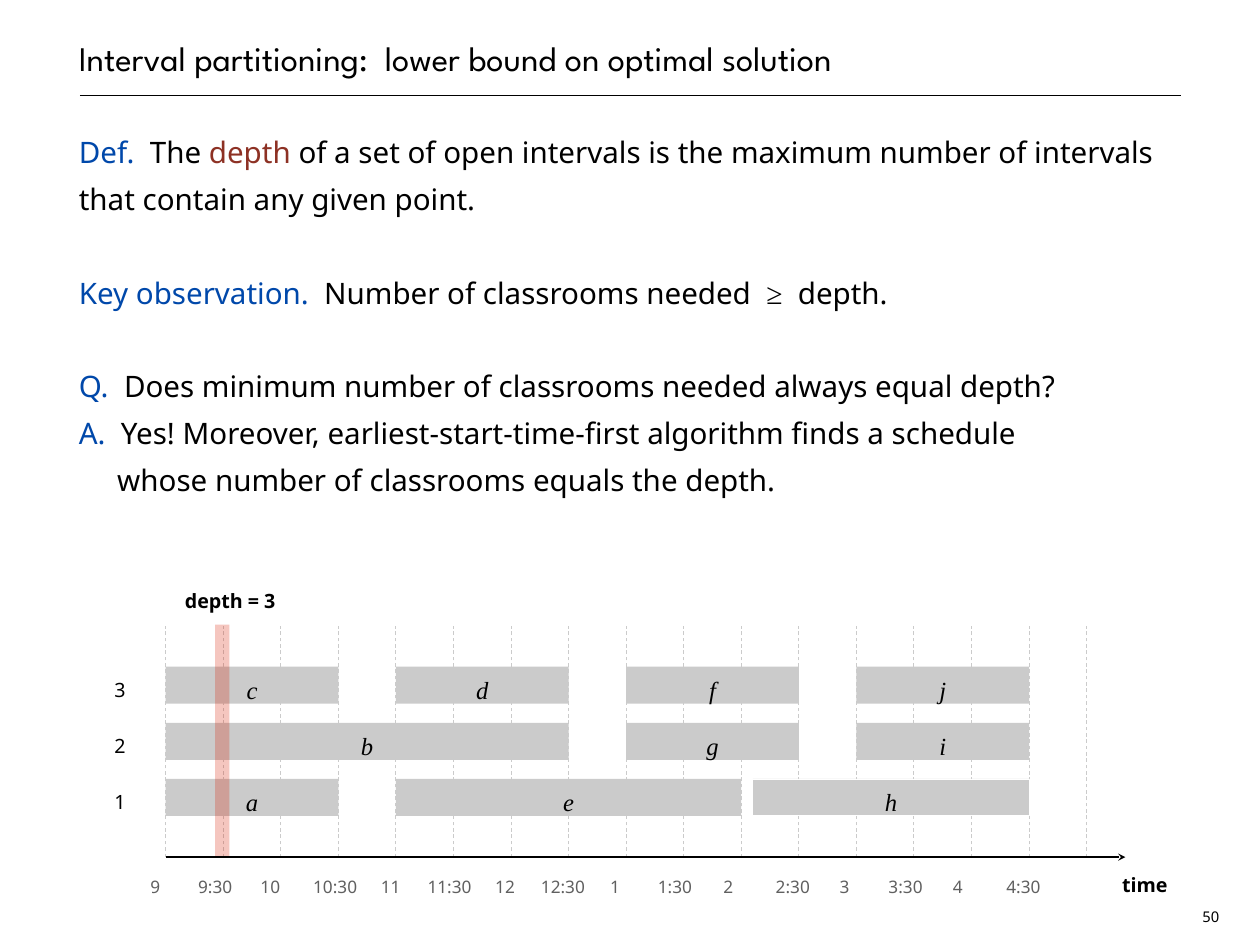
from lxml import etree
from pptx import Presentation
from pptx.dml.color import RGBColor
from pptx.enum import dml, shapes, text
from pptx.oxml import ns
from pptx.util import Cm, Pt

SANS, SERIF = "Noto Sans", "Times New Roman"
BLACK, BLUE, RED, GRAY, DARK_GRAY, WHITE = "000000", "0048AA", "8D3124", "CBCBCB", "606060", "FFFFFF"

HEADING = "Interval partitioning:  lower bound on optimal solution"
STATEMENTS = [
    (0, 0, [("Def.  ", BLUE, SANS), ("The ", BLACK, SANS), ("depth", RED, SANS),
            (" of a set of open intervals is the maximum number of intervals "
             "that contain any given point.", BLACK, SANS)]),
    (38, 0, [("Key observation.  ", BLUE, SANS), ("Number of classrooms needed  ", BLACK, SANS),
             ("≥", BLACK, SERIF), ("  depth.", BLACK, SANS)]),
    (38, 0, [("Q.  ", BLUE, SANS),
             ("Does minimum number of classrooms needed always equal depth?", BLACK, SANS)]),
    (0, 1.1, [("A.  ", BLUE, SANS),
              ("Yes! Moreover, earliest-start-time-first algorithm finds a schedule", BLACK, SANS),
              None,
              ("whose number of classrooms equals the depth.", BLACK, SANS)]),
]
CLASSROOMS = {
    "3": [("c", 0, 3), ("d", 4, 7), ("f", 8, 11), ("j", 12, 15)],
    "2": [("b", 0, 7), ("g", 8, 11), ("i", 12, 15)],
    "1": [("a", 0, 3), ("e", 4, 10), ("h", 10.2, 15)],
}
HOURS = [
    ("9", 4.45), ("9:30", 6.17), ("10", 7.75), ("10:30", 9.61),
    ("11", 11.2), ("11:30", 12.89), ("12", 14.48), ("12:30", 16.14),
    ("1", 17.63), ("1:30", 19.35), ("2", 20.88), ("2:30", 22.73),
    ("3", 24.21), ("3:30", 25.96), ("4", 27.46), ("4:30", 29.34),
]
LEFT, WIDTH = 2.26, 31.6
AXIS_X, AXIS_Y, AXIS_END = 4.75, 24.58, 32.26
GRID_TOP, HALF_HOUR, GRID_LINES = 17.95, 1.65, 17
ROW_TOP, ROW_STEP, BAR_HEIGHT = 19.12, 1.61, 1.06


def color(value):
    return RGBColor.from_string(value)


def add_run(paragraph, words, size, ink=BLACK, face=SANS, bold=False, italic=False):
    run = paragraph.add_run()
    run.text = words
    font = run.font
    font.name, font.size, font.bold, font.italic = face, Pt(size), bold, italic
    font.color.rgb = color(ink)


def clear_margins(frame, anchor, wrap=True):
    frame.margin_left = frame.margin_right = frame.margin_top = frame.margin_bottom = 0
    frame.vertical_anchor = anchor
    frame.word_wrap = wrap
    frame.auto_size = text.MSO_AUTO_SIZE.NONE


def place(shape, x, y, width, height):
    shape.left, shape.top, shape.width, shape.height = Cm(x), Cm(y), Cm(width), Cm(height)


def add_label(slide, words, center, top, size, ink=BLACK, bold=False, spacing=1.3):
    width = 2.6
    frame = slide.shapes.add_textbox(Cm(center - width / 2), Cm(top), Cm(width), Cm(0.6)).text_frame
    clear_margins(frame, text.MSO_ANCHOR.TOP, False)
    paragraph = frame.paragraphs[0]
    paragraph.alignment = text.PP_ALIGN.CENTER
    paragraph.line_spacing = spacing
    add_run(paragraph, words, size, ink, bold=bold)


def add_line(slide, x1, y1, x2, y2, ink, width):
    line = slide.shapes.add_connector(shapes.MSO_CONNECTOR.STRAIGHT, Cm(x1), Cm(y1), Cm(x2), Cm(y2))
    line.line.color.rgb = color(ink)
    line.line.width = Pt(width)
    etree.SubElement(line._element.spPr, ns.qn("a:effectLst"))
    return line


def add_block(slide, x, y, width, height, fill):
    block = slide.shapes.add_shape(shapes.MSO_SHAPE.RECTANGLE, Cm(x), Cm(y), Cm(width), Cm(height))
    block.shadow.inherit = False
    block.fill.solid()
    block.fill.fore_color.rgb = color(fill)
    block.line.fill.background()
    return block


def add_statements(slide):
    title, body = slide.shapes.title, slide.placeholders[1]
    place(title, LEFT, 0, WIDTH, 2.26)
    clear_margins(title.text_frame, text.MSO_ANCHOR.BOTTOM)
    heading = title.text_frame.paragraphs[0]
    heading.alignment = text.PP_ALIGN.LEFT
    heading.line_spacing = Pt(38)
    add_run(heading, HEADING, 28, face="League Spartan")

    place(body, LEFT, 3.53, WIDTH, 22.71)
    frame = body.text_frame
    clear_margins(frame, text.MSO_ANCHOR.TOP)
    for index, (before, hanging, runs) in enumerate(STATEMENTS):
        paragraph = frame.add_paragraph() if index else frame.paragraphs[0]
        properties = paragraph._p.get_or_add_pPr()
        properties.set("marL", str(Cm(hanging)))
        properties.set("indent", str(-Cm(hanging)))
        etree.SubElement(properties, ns.qn("a:buNone"))
        paragraph.line_spacing = Pt(38)
        paragraph.space_before = Pt(before)
        for run in runs:
            if run is None:
                paragraph.add_line_break()
            else:
                words, ink, face = run
                add_run(paragraph, words, 24, ink, face)


def add_schedule(slide):
    for tick in range(GRID_LINES):
        x = AXIS_X + tick * HALF_HOUR
        grid_line = add_line(slide, x, AXIS_Y, x, GRID_TOP, GRAY, 0.75)
        grid_line.line.dash_style = dml.MSO_LINE.DASH

    for row, (classroom, lectures) in enumerate(CLASSROOMS.items()):
        top = ROW_TOP + row * ROW_STEP
        add_label(slide, classroom, 3.44, top + 0.12, 16)
        for lecture, start, end in lectures:
            bar = add_block(slide, AXIS_X + start * HALF_HOUR, top,
                            (end - start) * HALF_HOUR, BAR_HEIGHT, GRAY)
            if lecture == "h":
                bar.line.color.rgb = color(WHITE)
                bar.line.width = Pt(0.75)
            clear_margins(bar.text_frame, text.MSO_ANCHOR.MIDDLE)
            paragraph = bar.text_frame.paragraphs[0]
            paragraph.alignment = text.PP_ALIGN.CENTER
            paragraph.line_spacing = 1.3
            add_run(paragraph, lecture, 20, face=SERIF, italic=True)

    depth_band = add_block(slide, 6.17, 17.91, 0.41, 6.65, "D81E00")
    tint = depth_band._element.spPr.find(ns.qn("a:solidFill"))[0]
    etree.SubElement(tint, ns.qn("a:alpha"), val="25000")
    add_label(slide, "depth = 3", 6.6, 16.69, 16, bold=True)

    for hour, center in HOURS:
        add_label(slide, hour, center, 24.94, 14, DARK_GRAY)
    add_label(slide, "time", 32.82, 24.84, 16, bold=True)
    axis = add_line(slide, AXIS_X, AXIS_Y, AXIS_END, AXIS_Y, BLACK, 1.5)
    etree.SubElement(axis.line._get_or_add_ln(), ns.qn("a:tailEnd"), type="stealth")


def main():
    deck = Presentation()
    deck.slide_width, deck.slide_height = Cm(36.12), Cm(27.1)
    slide = deck.slides.add_slide(deck.slide_layouts[1])
    add_line(slide, 2.29, 2.74, 33.86, 2.74, BLACK, 1)
    add_statements(slide)
    add_label(slide, "50", 34.71, 26.06, 12, spacing=Pt(14))
    add_schedule(slide)
    deck.save("out.pptx")


if __name__ == "__main__":
    main()
